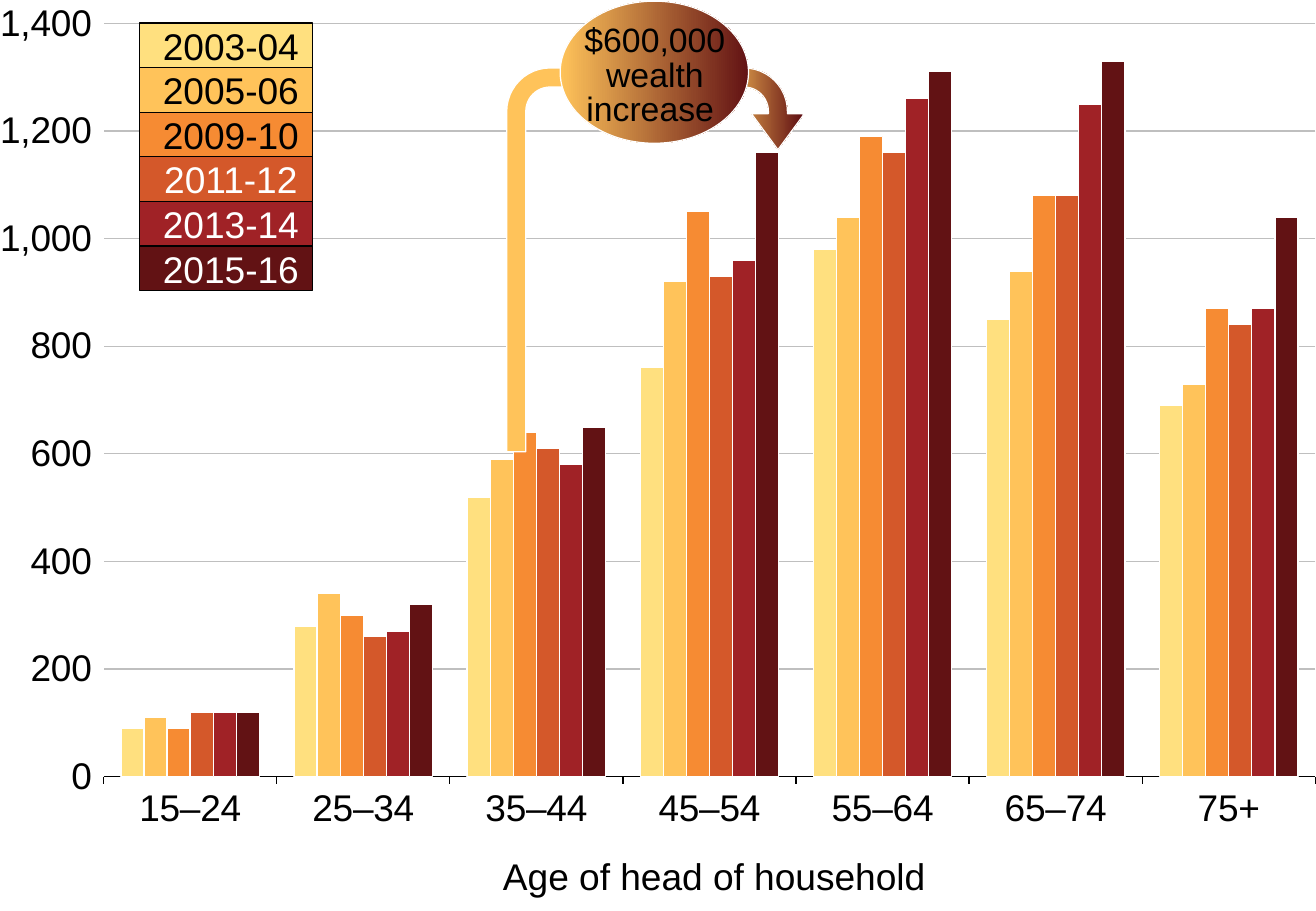
import copy
from dataclasses import dataclass

import lxml.etree
import pptx
import pptx.chart.chart
import pptx.chart.data
import pptx.dml.color
import pptx.dml.line
import pptx.enum.chart
import pptx.enum.shapes
import pptx.enum.text
import pptx.oxml.ns
import pptx.shapes.autoshape
import pptx.slide
import pptx.util

Inches = pptx.util.Inches
ShapeKind = pptx.enum.shapes.MSO_SHAPE
Anchor = pptx.enum.text.MSO_ANCHOR


@dataclass(frozen=True)
class Theme:
    font: str = "Arial"
    black: str = "000000"
    white: str = "FFFFFF"
    grid: str = "BFBFBF"
    amber: str = "FFC35A"
    maroon: str = "621214"
    base_size: int = 18
    callout_size: int = 20
    label_size: int = 22
    line_width: float = 0.75


@dataclass(frozen=True)
class Box:
    left: float
    top: float
    width: float
    height: float

    def lengths(self) -> tuple:
        return tuple(Inches(n) for n in (self.left, self.top, self.width, self.height))


@dataclass(frozen=True)
class Survey:
    years: str
    fill: str
    text: str
    wealth: tuple


@dataclass(frozen=True)
class Callout:
    kind: ShapeKind
    box: Box
    stops: tuple
    adjustments: tuple = ()


THEME = Theme()
AGES = ("15–24", "25–34", "35–44", "45–54", "55–64", "65–74", "75+")
SURVEYS = (
    Survey("2003-04", "FFE07F", THEME.black, (90, 280, 520, 760, 980, 850, 690)),
    Survey("2005-06", THEME.amber, THEME.black, (110, 340, 590, 920, 1040, 940, 730)),
    Survey("2009-10", "F68B33", THEME.black, (90, 300, 640, 1050, 1190, 1080, 870)),
    Survey("2011-12", "D4582A", THEME.white, (120, 260, 610, 930, 1160, 1080, 840)),
    Survey("2013-14", "A02226", THEME.white, (120, 270, 580, 960, 1260, 1250, 870)),
    Survey("2015-16", THEME.maroon, THEME.white, (120, 320, 650, 1160, 1310, 1330, 1040)),
)
CALLOUTS = (
    Callout(ShapeKind.U_TURN_ARROW, Box(4.17, 0.56, 2.45, 3.16),
            ((0.71, THEME.amber), (0.99, THEME.maroon), (1, THEME.white)),
            (0.064, 0.089, 0.121, 0.146, 0.213)),
    Callout(ShapeKind.OVAL, Box(4.61, 0.01, 1.55, 1.17),
            ((0, THEME.amber), (1, THEME.maroon))),
)
LEGEND = Box(1.15, 0.19, 1.42, 0.367)
PLOT = {"x": 0.077, "y": 0.027, "w": 0.923, "h": 0.865}


def rgb(value: str) -> pptx.dml.color.RGBColor:
    return pptx.dml.color.RGBColor.from_string(value)


def set_values(target: object, values: dict) -> None:
    for name, value in values.items():
        setattr(target, name, value)


def set_font(font: object, size: int, color: str) -> None:
    set_values(font, {"name": THEME.font, "size": pptx.util.Pt(size)})
    font.color.rgb = rgb(color)


def set_line(line: pptx.dml.line.LineFormat, color: str) -> None:
    line.color.rgb = rgb(color)
    line.width = pptx.util.Pt(THEME.line_width)


def write_text(shape: pptx.shapes.autoshape.Shape, text: str, size: int, color: str,
               anchor: Anchor, left_margin: float = 0, spacing: float = 1) -> None:
    frame = shape.text_frame
    set_values(frame, {
        "word_wrap": True, "vertical_anchor": anchor, "margin_left": Inches(left_margin),
        "margin_top": 0, "margin_right": 0, "margin_bottom": 0,
    })
    para = frame.paragraphs[0]
    set_values(para, {"alignment": pptx.enum.text.PP_ALIGN.CENTER, "line_spacing": spacing})
    span = para.add_run()
    span.text = text
    set_font(span.font, size, color)


def place_plot(chart: pptx.chart.chart.Chart) -> None:
    qn = pptx.oxml.ns.qn
    area = chart.element.find(".//" + qn("c:plotArea"))
    for layout in area.findall(qn("c:layout")):
        area.remove(layout)
    layout = lxml.etree.Element(qn("c:layout"))
    manual = lxml.etree.SubElement(layout, qn("c:manualLayout"))
    settings = {"layoutTarget": "inner", "xMode": "edge", "yMode": "edge", **PLOT}
    for name, value in settings.items():
        lxml.etree.SubElement(manual, qn("c:" + name)).set("val", str(value))
    area.insert(0, layout)


def add_wealth_chart(slide: pptx.slide.Slide) -> None:
    data = pptx.chart.data.CategoryChartData()
    data.categories = AGES
    for survey in SURVEYS:
        data.add_series(survey.years, survey.wealth)
    chart = slide.shapes.add_chart(pptx.enum.chart.XL_CHART_TYPE.COLUMN_CLUSTERED,
                                   *Box(0, 0, 10.83, 7.17).lengths(), data).chart
    set_values(chart, {"has_legend": False, "has_title": False})
    set_font(chart.font, THEME.base_size, THEME.black)
    place_plot(chart)
    set_values(chart.plots[0], {"gap_width": 150, "overlap": 0, "vary_by_categories": False})
    for series, survey in zip(chart.plots[0].series, SURVEYS):
        series.format.fill.solid()
        series.format.fill.fore_color.rgb = rgb(survey.fill)
        set_line(series.format.line, THEME.white)
    ages, wealth = chart.category_axis, chart.value_axis
    for axis in (ages, wealth):
        axis.major_tick_mark = pptx.enum.chart.XL_TICK_MARK.OUTSIDE
        set_font(axis.tick_labels.font, THEME.label_size, THEME.black)
    set_line(ages.format.line, THEME.black)
    set_values(wealth, {"minimum_scale": 0, "maximum_scale": 1400, "major_unit": 200,
                        "has_major_gridlines": True})
    set_values(wealth.tick_labels, {"number_format": "#,##0", "number_format_is_linked": False})
    wealth.format.line.fill.background()
    set_line(wealth.major_gridlines.format.line, THEME.grid)


def add_legend(slide: pptx.slide.Slide) -> None:
    group = slide.shapes.add_group_shape()
    for row, survey in enumerate(SURVEYS):
        box = Box(LEGEND.left, LEGEND.top + row * LEGEND.height, LEGEND.width, LEGEND.height)
        key = group.shapes.add_shape(ShapeKind.RECTANGLE, *box.lengths())
        key.shadow.inherit = False
        key.fill.solid()
        key.fill.fore_color.rgb = rgb(survey.fill)
        set_line(key.line, THEME.black)
        write_text(key, survey.years, THEME.label_size, survey.text, Anchor.MIDDLE, 0.08)


def add_callout(slide: pptx.slide.Slide, callout: Callout) -> None:
    shape = slide.shapes.add_shape(callout.kind, *callout.box.lengths())
    shape.shadow.inherit = False
    for index, value in enumerate(callout.adjustments):
        shape.adjustments[index] = value
    shape.fill.gradient()
    shape.fill.gradient_angle = 0
    stop_list = shape.element.find(".//" + pptx.oxml.ns.qn("a:gsLst"))
    while len(stop_list) < len(callout.stops):
        stop_list.append(copy.deepcopy(stop_list[-1]))
    for stop, (position, color) in zip(shape.fill.gradient_stops, callout.stops):
        stop.position = position
        stop.color.rgb = rgb(color)
    set_line(shape.line, THEME.white)


def main() -> None:
    deck = pptx.Presentation()
    set_values(deck, {"slide_width": Inches(10.83), "slide_height": Inches(7.5)})
    slide = deck.slides.add_slide(deck.slide_layouts[6])
    add_wealth_chart(slide)
    axis_title = slide.shapes.add_textbox(*Box(1.01, 7.03, 9.82, 0.37).lengths())
    write_text(axis_title, "Age of head of household ", THEME.label_size, THEME.black, Anchor.TOP)
    add_legend(slide)
    for callout in CALLOUTS:
        add_callout(slide, callout)
    increase = slide.shapes.add_textbox(*Box(4.57, 0.21, 1.64, 0.86).lengths())
    write_text(increase, "$600,000 wealth increase ", THEME.callout_size, THEME.black,
               Anchor.TOP, spacing=0.85)
    deck.save("out.pptx")


if __name__ == "__main__":
    main()
